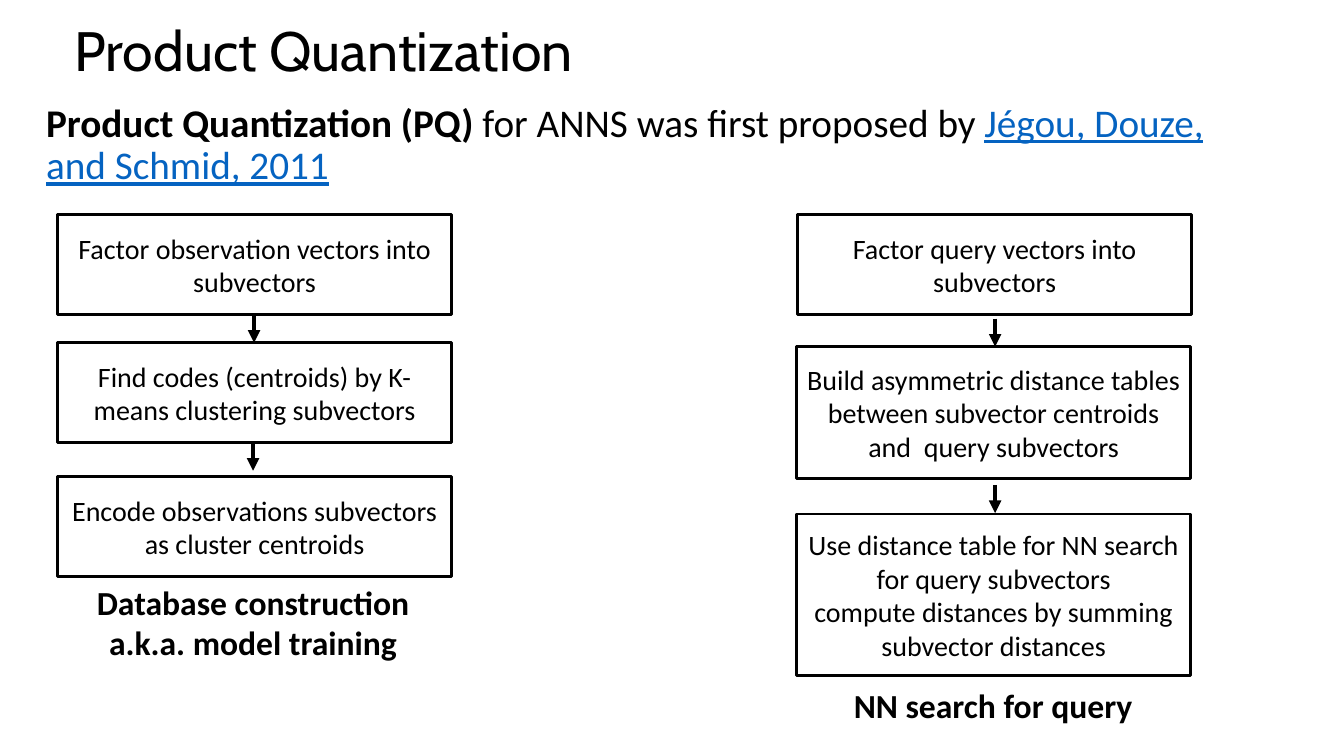
import pptx
import pptx.util
import pptx.dml.color
import pptx.enum.text
import pptx.enum.shapes
import pptx.oxml
import pptx.oxml.ns
from lxml import etree

Inches = pptx.util.Inches
Pt = pptx.util.Pt
PP_ALIGN = pptx.enum.text.PP_ALIGN
MSO_ANCHOR = pptx.enum.text.MSO_ANCHOR
MSO_AUTO_SIZE = pptx.enum.text.MSO_AUTO_SIZE


def color(value):
    return pptx.dml.color.RGBColor.from_string(value)


class SlideBuilder:
    black = "000000"
    link_blue = "0563C1"
    title_font = "Cabin"
    body_font = "Calibri"
    box_width = 3.91

    def __init__(self, prs):
        self.s = prs.slides.add_slide(prs.slide_layouts[5])

    def style(self, p, size, name, align, bold=None):
        p.alignment = align
        p.font.size = Pt(size)
        p.font.name = name
        p.font.bold = bold
        p.font.color.rgb = color(self.black)

    def fill_text(self, tf, lines, size, bold=None):
        tf.word_wrap = True
        for i, line in enumerate(lines):
            p = tf.add_paragraph() if i else tf.paragraphs[0]
            p.text = line
            self.style(p, size, self.body_font, PP_ALIGN.CENTER, bold)

    def title(self, text, left, top, width, height):
        sp = self.s.shapes.title
        sp.left, sp.top = Inches(left), Inches(top)
        sp.width, sp.height = Inches(width), Inches(height)
        tf = sp.text_frame
        tf.auto_size = MSO_AUTO_SIZE.NONE
        tf.vertical_anchor = MSO_ANCHOR.MIDDLE
        p = tf.paragraphs[0]
        p.text = text
        p.line_spacing = 0.9
        self.style(p, 39.6, self.title_font, PP_ALIGN.LEFT)

    def textbox(self, left, top, width, height):
        sp = self.s.shapes.add_textbox(
            Inches(left), Inches(top), Inches(width), Inches(height))
        sp.text_frame.word_wrap = True
        return sp.text_frame

    def intro(self, term, text, citation, left, top, width, height):
        p = self.textbox(left, top, width, height).paragraphs[0]
        p.line_spacing = 0.9
        self.style(p, 28, self.body_font, PP_ALIGN.LEFT)
        r = p.add_run()
        r.text = term
        r.font.bold = True
        p.add_run().text = text
        r = p.add_run()
        r.text = citation
        r.font.underline = True
        r.font.color.rgb = color(self.link_blue)

    def box(self, left, top, height, lines):
        sp = self.s.shapes.add_shape(
            pptx.enum.shapes.MSO_SHAPE.RECTANGLE,
            Inches(left), Inches(top), Inches(self.box_width), Inches(height))
        sp.shadow.inherit = False
        sp.fill.background()
        sp.line.color.rgb = color(self.black)
        sp.line.width = Pt(2)
        sp.text_frame.vertical_anchor = MSO_ANCHOR.MIDDLE
        self.fill_text(sp.text_frame, lines, 20)

    def arrow(self, x, top, length=0.28):
        cn = self.s.shapes.add_connector(
            pptx.enum.shapes.MSO_CONNECTOR.STRAIGHT,
            Inches(x), Inches(top), Inches(x), Inches(top + length))
        cn.line.color.rgb = color(self.black)
        cn.line.width = Pt(3)
        qn = pptx.oxml.ns.qn
        ln = cn.line._get_or_add_ln()
        etree.SubElement(ln, qn("a:tailEnd"), type="triangle")
        etree.SubElement(cn._element.spPr, qn("a:effectLst"))

    def caption(self, left, top, height, lines):
        tf = self.textbox(left, top, 3.9, height)
        self.fill_text(tf, lines, 24, True)
        tf.auto_size = MSO_AUTO_SIZE.SHAPE_TO_FIT_TEXT


def main():
    prs = pptx.Presentation()
    prs.slide_width, prs.slide_height = Inches(13.33), Inches(7.5)
    slide = SlideBuilder(prs)
    slide.title("Product Quantization", 0.64, 0.24, 11.5, 0.58)
    slide.intro("Product Quantization (PQ) ", "for ANNS was first proposed by ",
                "Jégou, Douze, and Schmid, 2011", 0.36, 0.98, 12.33, 1.07)

    boxes = [
        (0.57, 2.13, 0.99, ["Factor observation vectors into subvectors"]),
        (0.57, 3.4, 0.99, ["Find codes (centroids) by K-means clustering subvectors"]),
        (0.57, 4.73, 0.99, ["Encode observations subvectors as cluster centroids"]),
        (7.91, 2.13, 0.99, ["Factor query vectors into subvectors"]),
        (7.9, 3.44, 1.31, ["Build asymmetric distance tables between subvector "
                           "centroids and  query subvectors"]),
        (7.9, 5.1, 1.6, ["Use distance table for NN search for query subvectors",
                         "compute distances by summing subvector distances"]),
    ]
    for left, top, height, lines in boxes:
        slide.box(left, top, height, lines)

    for x, top in [(2.52, 3.12), (2.51, 4.39), (9.87, 3.16), (9.87, 4.81)]:
        slide.arrow(x, top)

    slide.caption(0.56, 5.72, 0.91, ["Database construction", "a.k.a. model training"])
    slide.caption(7.9, 6.75, 0.5, ["NN search for query"])
    prs.save("out.pptx")


if __name__ == "__main__":
    main()
